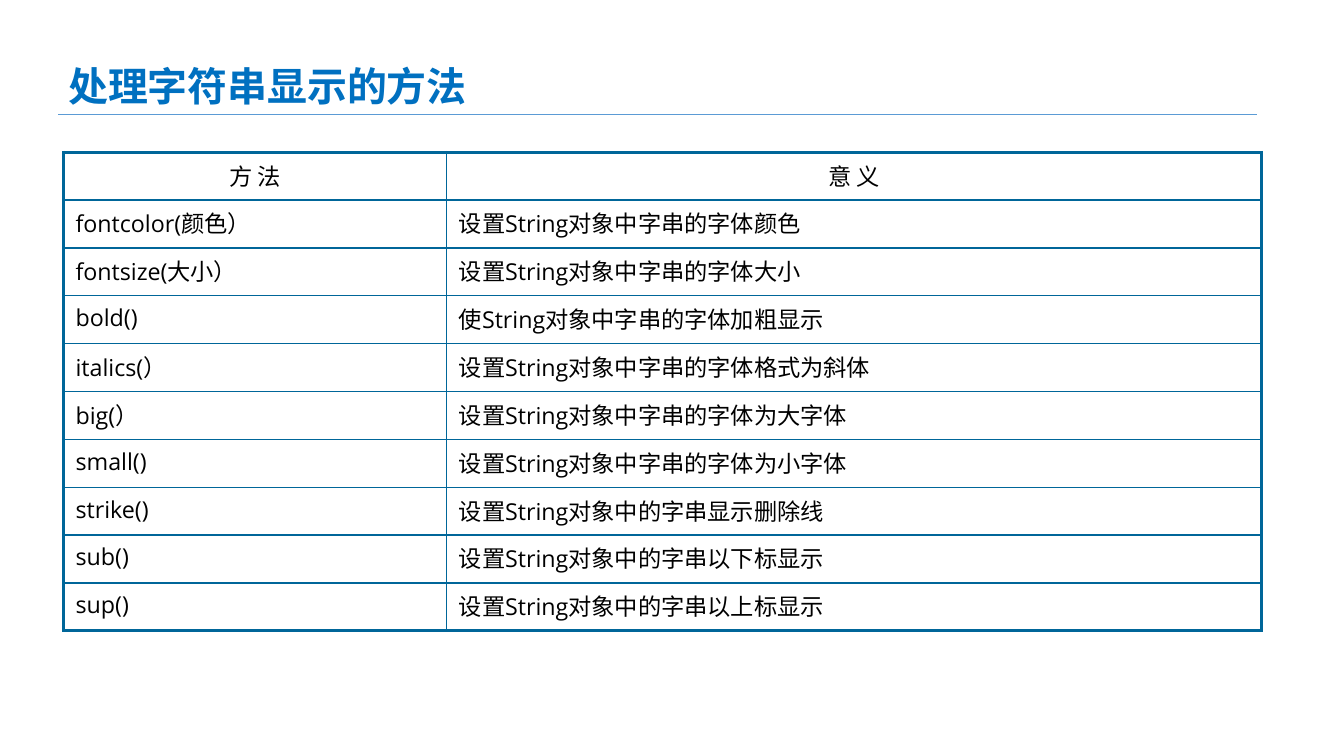
import dataclasses
import typing

import pptx
import pptx.dml.color
import pptx.enum.shapes
import pptx.enum.text
import pptx.oxml
import pptx.oxml.ns
import pptx.util


@dataclasses.dataclass(frozen=True)
class Theme:
    blue: str = "0070C0"
    rule: str = "5B9BD5"
    edge: str = "006699"
    ink: str = "000000"
    latin: str = "Open Sans"
    han: str = "Noto Sans CJK SC"
    title: float = 28.5
    body: float = 16.6
    hair: float = 0.25
    thin: float = 1
    thick: float = 2.25


class Box(typing.NamedTuple):
    """Left, top, width and height in percent of the slide."""
    x: float
    y: float
    w: float
    h: float


class Entry(typing.NamedTuple):
    name: str
    sense: str


THEME = Theme()
WIDE, HIGH = pptx.util.Inches(13.33), pptx.util.Inches(7.5)
TITLE = Box(4.35, 6.27, 66, 9.07)
RULE = Box(4.35, 15.07, 89.2, 0)
TABLE = Box(4.73, 20.13, 89.12, 63.33)
SPLIT = 0.32  # share of the table taken by the first column

HEAD = Entry("方 法", "意 义")
ROWS = [
    Entry("fontcolor(颜色）", "设置String对象中字串的字体颜色"),
    Entry("fontsize(大小）", "设置String对象中字串的字体大小"),
    Entry("bold()", "使String对象中字串的字体加粗显示"),
    Entry("italics(）", "设置String对象中字串的字体格式为斜体"),
    Entry("big(）", "设置String对象中字串的字体为大字体"),
    Entry("small()", "设置String对象中字串的字体为小字体"),
    Entry("strike()", "设置String对象中的字串显示删除线"),
    Entry("sub()", "设置String对象中的字串以下标显示"),
    Entry("sup()", "设置String对象中的字串以上标显示"),
]


def across(share: float) -> int:
    return round(WIDE * share / 100)


def down(share: float) -> int:
    return round(HIGH * share / 100)


def place(box: Box) -> tuple[int, int, int, int]:
    return across(box.x), down(box.y), across(box.w), down(box.h)


def tint(code: str) -> pptx.dml.color.RGBColor:
    return pptx.dml.color.RGBColor.from_string(code)


def apply(target: typing.Any, values: dict[str, typing.Any]) -> None:
    for key, value in values.items():
        setattr(target, key, value)


def write(frame: typing.Any, text: str, face: str, size: float, color: str,
          bold: bool, para: dict[str, typing.Any]) -> None:
    line = frame.paragraphs[0]
    apply(line, para)
    run = line.add_run()
    run.text = text
    apply(run.font, {"name": face, "size": pptx.util.Pt(size), "bold": bold})
    run.font.color.rgb = tint(color)
    # East Asian typeface
    east = pptx.oxml.parse_xml(
        f'<a:ea {pptx.oxml.ns.nsdecls("a")} typeface="{THEME.han}"/>')
    run.font._element.find(pptx.oxml.ns.qn("a:latin")).addnext(east)


def border(cell: typing.Any, sides: dict[str, float]) -> None:
    props = cell._tc.get_or_add_tcPr()
    for spot, (side, width) in enumerate(sides.items()):
        props.insert(spot, pptx.oxml.parse_xml(
            f'<a:ln{side} {pptx.oxml.ns.nsdecls("a")} w="{pptx.util.Pt(width)}">'
            f'<a:solidFill><a:srgbClr val="{THEME.edge}"/></a:solidFill>'
            f'</a:ln{side}>'))


def heading(slide: typing.Any, text: str) -> None:
    frame = slide.shapes.add_textbox(*place(TITLE)).text_frame
    apply(frame, {"word_wrap": True,
                  "auto_size": pptx.enum.text.MSO_AUTO_SIZE.SHAPE_TO_FIT_TEXT})
    write(frame, text, THEME.han, THEME.title, THEME.blue, True,
          {"line_spacing": 1.2})


def divide(slide: typing.Any) -> None:
    x, y, w, _ = place(RULE)
    line = slide.shapes.add_connector(
        pptx.enum.shapes.MSO_CONNECTOR.STRAIGHT, x, y, x + w, y)
    line.line.color.rgb = tint(THEME.rule)
    line.line.width = pptx.util.Pt(THEME.hair)
    line._element.spPr.append(pptx.oxml.parse_xml(
        f'<a:effectLst {pptx.oxml.ns.nsdecls("a")}/>'))


def grid(slide: typing.Any, items: list[Entry]) -> None:
    count, span = len(items), len(HEAD)
    table = slide.shapes.add_table(count, span, *place(TABLE)).table
    apply(table, {"first_row": False, "horz_banding": False})
    for col, share in zip(table.columns, (SPLIT, 1 - SPLIT)):
        col.width = across(TABLE.w * share)
    for row in table.rows:
        row.height = down(TABLE.h / count)

    inset = {"margin_left": across(0.9), "margin_right": across(0.9),
             "margin_top": down(0.8), "margin_bottom": down(0.8)}
    align = pptx.enum.text.PP_ALIGN
    for r, item in enumerate(items):
        for c, text in enumerate(item):
            cell = table.cell(r, c)
            apply(cell, inset)
            cell.fill.background()
            # Thick frame outside, thin lines inside
            outer = {"L": c == 0, "R": c == span - 1,
                     "T": r == 0, "B": r == count - 1}
            border(cell, {side: THEME.thick if edge else THEME.thin
                          for side, edge in outer.items()})
            write(cell.text_frame, text, THEME.latin, THEME.body, THEME.ink,
                  False, {"alignment": align.LEFT if r else align.CENTER})


def main() -> None:
    deck = pptx.Presentation()
    apply(deck, {"slide_width": WIDE, "slide_height": HIGH})
    slide = deck.slides.add_slide(deck.slide_layouts[6])
    heading(slide, "处理字符串显示的方法")
    divide(slide)
    grid(slide, [HEAD, *ROWS])
    deck.save("out.pptx")


if __name__ == "__main__":
    main()
